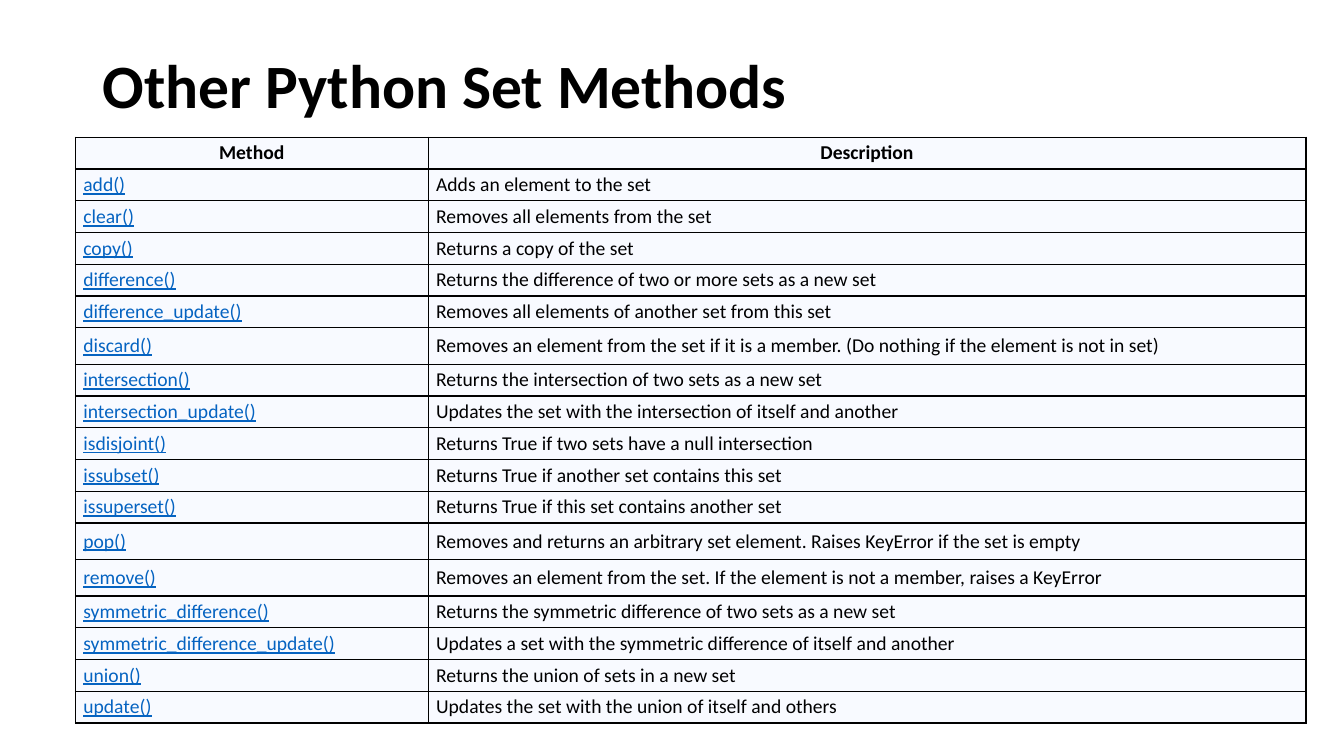
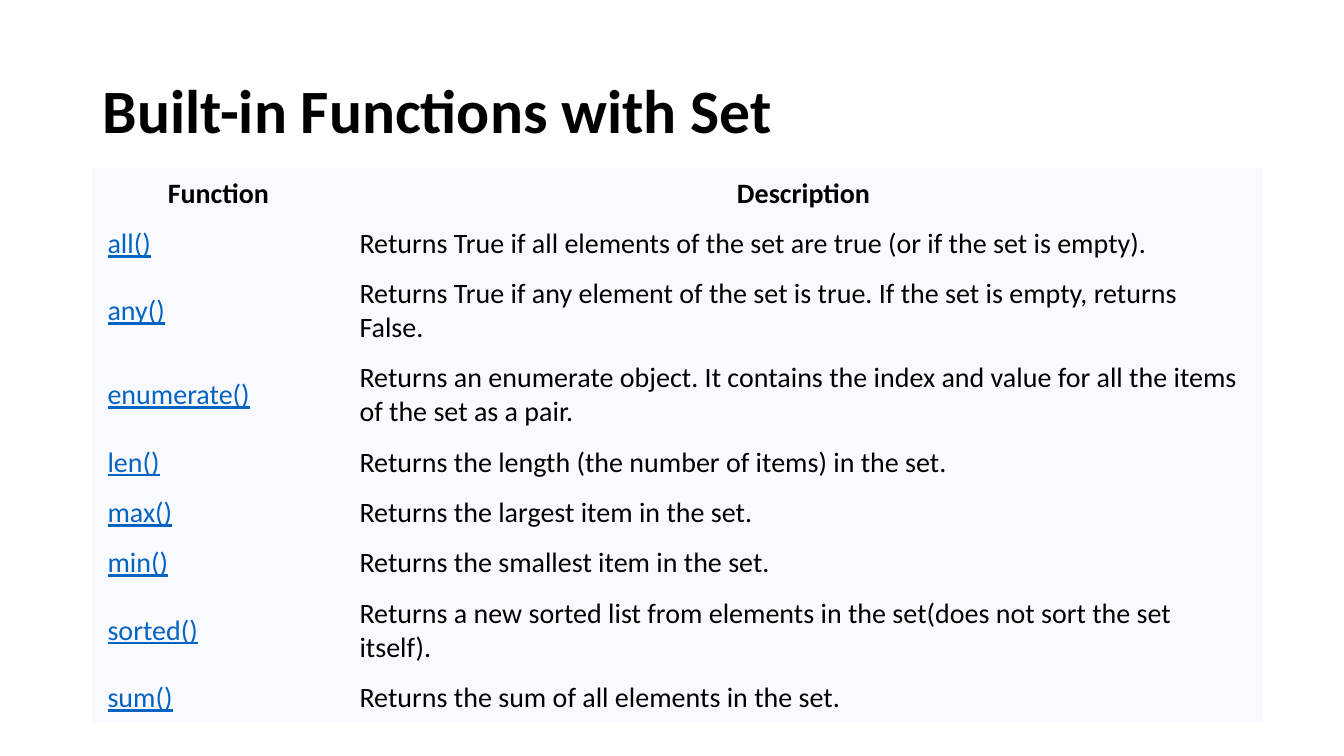
from dataclasses import dataclass

from lxml import etree
from pptx import Presentation
from pptx import util as u
from pptx.dml.color import RGBColor
from pptx.enum import text
from pptx.oxml import ns


@dataclass(frozen=True)
class Theme:
    """Colours, fonts and sizes that the slides share."""
    font: str = "Calibri"
    ink: str = "000000"
    link: str = "0563C1"
    cell: str = "F8FAFF"
    title_size: int = 44
    table_style: str = "{2D5ABB26-0587-4C30-8999-92F81FD0307C}"


@dataclass(frozen=True)
class TableLook:
    """Measures of one table, in centimetres and points."""
    box: tuple
    columns: tuple
    row: float
    tall_row: float
    tall_names: tuple
    inset: tuple
    size: int
    border: float = 0


THEME = Theme()

SET_METHODS = [
    ("Method", "Description"),
    ("add()", "Adds an element to the set"),
    ("clear()", "Removes all elements from the set"),
    ("copy()", "Returns a copy of the set"),
    ("difference()", "Returns the difference of two or more sets as a new set"),
    ("difference_update()", "Removes all elements of another set from this set"),
    ("discard()", "Removes an element from the set if it is a member. "
                  "(Do nothing if the element is not in set)"),
    ("intersection()", "Returns the intersection of two sets as a new set"),
    ("intersection_update()", "Updates the set with the intersection of itself and another"),
    ("isdisjoint()", "Returns True if two sets have a null intersection"),
    ("issubset()", "Returns True if another set contains this set"),
    ("issuperset()", "Returns True if this set contains another set"),
    ("pop()", "Removes and returns an arbitrary set element. "
              "Raises KeyError if the set is empty"),
    ("remove()", "Removes an element from the set. "
                 "If the element is not a member, raises a KeyError"),
    ("symmetric_difference()", "Returns the symmetric difference of two sets as a new set"),
    ("symmetric_difference_update()",
     "Updates a set with the symmetric difference of itself and another"),
    ("union()", "Returns the union of sets in a new set"),
    ("update()", "Updates the set with the union of itself and others"),
]

BUILT_IN_FUNCTIONS = [
    ("Function", "Description"),
    ("all()", "Returns True if all elements of the set are true (or if the set is empty)."),
    ("any()", "Returns True if any element of the set is true. "
              "If the set is empty, returns False."),
    ("enumerate()", "Returns an enumerate object. It contains the index and value "
                    "for all the items of the set as a pair."),
    ("len()", "Returns the length (the number of items) in the set."),
    ("max()", "Returns the largest item in the set."),
    ("min()", "Returns the smallest item in the set."),
    ("sorted()", "Returns a new sorted list from elements in the set"
                 "(does not sort the set itself)."),
    ("sum()", "Returns the sum of all elements in the set."),
]

METHODS_LOOK = TableLook(
    box=(1.9, 3.46), columns=(8.89, 22.12), row=0.8, tall_row=0.92,
    tall_names=("discard()", "pop()", "remove()"),
    inset=(0.2, 0.09), size=14, border=1)

FUNCTIONS_LOOK = TableLook(
    box=(2.33, 4.24), columns=(6.35, 23.14), row=1.27, tall_row=2.12,
    tall_names=("any()", "enumerate()", "sorted()"),
    inset=(0.38, 0.18), size=20)


def set_attributes(target, values):
    """Set every named value on the target."""
    for name, value in values.items():
        setattr(target, name, value)


def format_font(font, size, color, bold=False, underline=False):
    """Apply the shared font with the given size, colour and emphasis."""
    set_attributes(font, {"name": THEME.font, "size": u.Pt(size),
                          "bold": bold, "underline": underline})
    font.color.rgb = RGBColor.from_string(color)


def add_title(slide, title, box):
    """Place and format the title placeholder in the box."""
    shape = slide.shapes.title
    set_attributes(shape, dict(zip(("left", "top", "width", "height"), map(u.Cm, box))))
    frame = shape.text_frame
    frame.text = title
    set_attributes(frame, {"vertical_anchor": text.MSO_ANCHOR.MIDDLE,
                           "auto_size": text.MSO_AUTO_SIZE.NONE, "word_wrap": True})
    paragraph = frame.paragraphs[0]
    set_attributes(paragraph, {"alignment": text.PP_ALIGN.LEFT, "line_spacing": 0.9})
    format_font(paragraph.font, THEME.title_size, THEME.ink, bold=True)


def add_borders(cell, width):
    """Draw a solid line on all four sides of the cell."""
    properties = cell._tc.get_or_add_tcPr()
    for side in ("a:lnL", "a:lnR", "a:lnT", "a:lnB"):
        line = etree.SubElement(properties, ns.qn(side), w=str(u.Pt(width)))
        fill = etree.SubElement(line, ns.qn("a:solidFill"))
        etree.SubElement(fill, ns.qn("a:srgbClr"), val=THEME.ink)


def fill_cell(cell, content, look, is_header, is_name):
    """Write one cell as a heading, an underlined name or a description."""
    if look.border:
        add_borders(cell, look.border)
    cell.fill.solid()
    cell.fill.fore_color.rgb = RGBColor.from_string(THEME.cell)
    side, end = map(u.Cm, look.inset)
    set_attributes(cell, {"margin_left": side, "margin_right": side,
                          "margin_top": end, "margin_bottom": end,
                          "vertical_anchor": text.MSO_ANCHOR.MIDDLE})
    paragraph = cell.text_frame.paragraphs[0]
    paragraph.alignment = text.PP_ALIGN.CENTER if is_header else text.PP_ALIGN.LEFT
    run = paragraph.add_run()
    run.text = content
    is_link = is_name and not is_header
    format_font(run.font, look.size, THEME.link if is_link else THEME.ink,
                bold=is_header, underline=is_link)


def add_reference_table(slide, rows, look):
    """Add the two-column table at the place its look gives."""
    heights = [look.tall_row if name in look.tall_names else look.row for name, _ in rows]
    box = (*look.box, sum(look.columns), sum(heights))
    table = slide.shapes.add_table(len(rows), len(look.columns), *map(u.Cm, box)).table
    set_attributes(table, {"first_row": False, "horz_banding": False})
    table._tbl.tblPr.find(ns.qn("a:tableStyleId")).text = THEME.table_style
    for column, width in zip(table.columns, look.columns):
        column.width = u.Cm(width)
    for index, (contents, height) in enumerate(zip(rows, heights)):
        table.rows[index].height = u.Cm(height)
        for position, content in enumerate(contents):
            fill_cell(table.cell(index, position), content, look, index == 0, position == 0)


def add_reference_slide(presentation, title, title_height, rows, look):
    """Add a slide with a title above a reference table."""
    slide = presentation.slides.add_slide(presentation.slide_layouts[5])
    add_title(slide, title, (2.33, 1.02, 29.21, title_height))
    add_reference_table(slide, rows, look)


def main():
    """Build and save the presentation."""
    presentation = Presentation()
    set_attributes(presentation, {"slide_width": u.Cm(33.87), "slide_height": u.Cm(19.05)})
    add_reference_slide(presentation, "Other Python Set Methods", 2.44,
                        SET_METHODS, METHODS_LOOK)
    add_reference_slide(presentation, "Built-in Functions with Set", 3.68,
                        BUILT_IN_FUNCTIONS, FUNCTIONS_LOOK)
    presentation.save("out.pptx")


if __name__ == "__main__":
    main()
